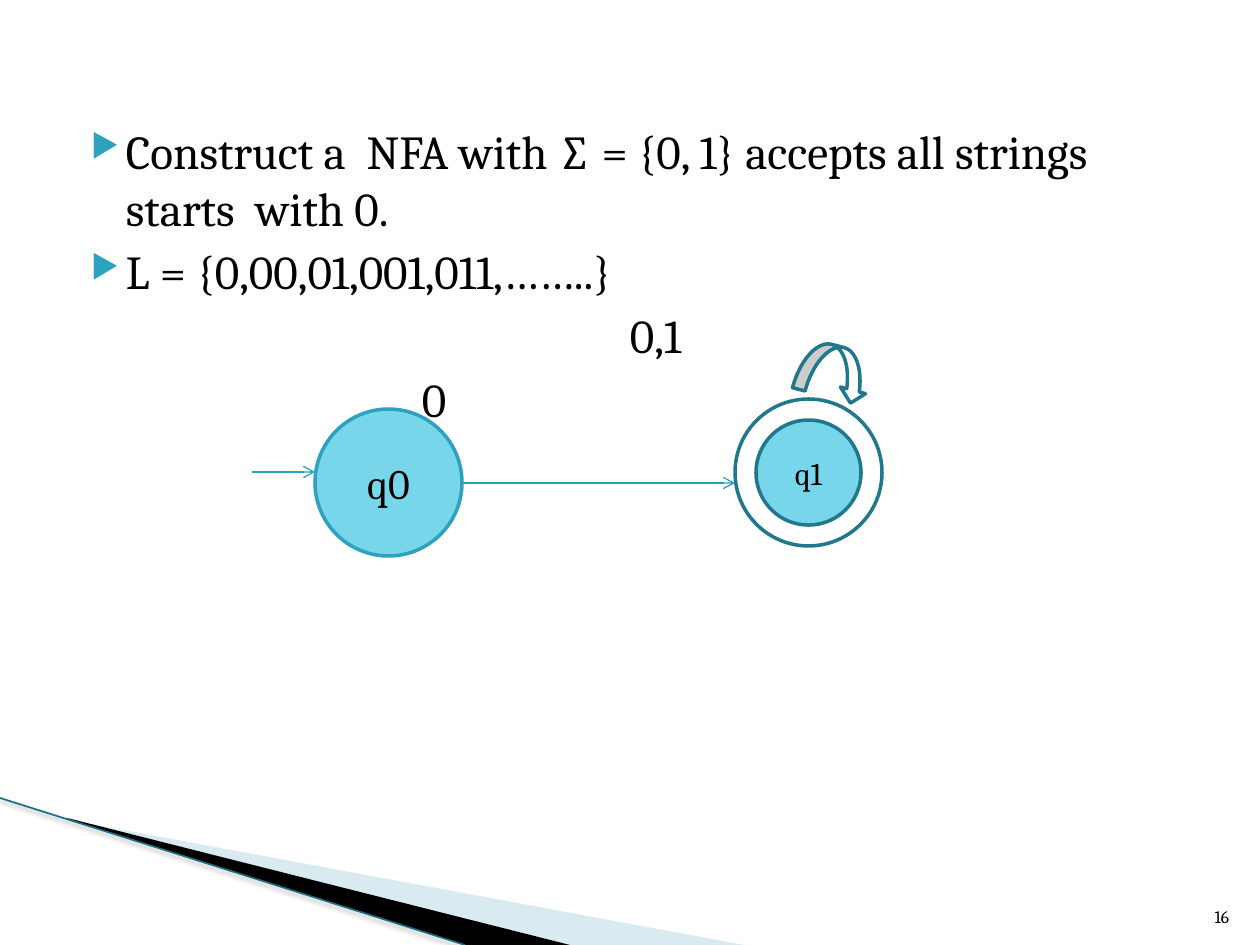
"""Build a slide that shows an NFA for strings starting with 0."""
from dataclasses import dataclass

from lxml import etree
from pptx import Presentation
from pptx.dml.color import RGBColor
from pptx.enum.shapes import MSO_CONNECTOR, MSO_SHAPE
from pptx.enum.text import MSO_ANCHOR, PP_ALIGN
from pptx.oxml.ns import qn
from pptx.util import Emu, Pt

ELLIPSE, CURVED_ARROW = MSO_SHAPE.OVAL, MSO_SHAPE.CURVED_DOWN_ARROW
STRAIGHT = MSO_CONNECTOR.STRAIGHT
TOP, MIDDLE, BOTTOM = MSO_ANCHOR.TOP, MSO_ANCHOR.MIDDLE, MSO_ANCHOR.BOTTOM
LEFT, CENTER, RIGHT = PP_ALIGN.LEFT, PP_ALIGN.CENTER, PP_ALIGN.RIGHT
SCALE = 914400 / 126
FONT = "Cambria"
COLORS = {
    "text": "000000", "bullet": "2DA2BF", "state": "78D6EA", "paper": "FFFFFF",
    "outline": "21788D", "arrow": "28A0BE", "pale": "A0CBDC", "edge": "196F85",
}


@dataclass
class Wedge:
    """A filled corner polygon."""
    points: list[tuple[int, int]]
    color: str
    opacity: int = 100


@dataclass
class Line:
    """A straight line, with or without an arrowhead."""
    start: tuple[int, int]
    end: tuple[int, int]
    color: str = "arrow"
    width: float = 0.75
    arrow: bool = True


@dataclass
class Figure:
    """An outlined preset shape with an optional label."""
    kind: int
    bounds: tuple[int, int, int, int]
    fill: str
    line: str = "outline"
    label: str = ""
    size: int = 18
    rotation: float = 0


@dataclass
class Entry:
    """A body paragraph."""
    text: str
    margin: int
    hanging: int = 0


WEDGES = [
    Wedge([(69, 820), (744, 945), (570, 945), (69, 819)], "pale", 40),
    Wedge([(67, 818), (570, 945), (465, 945), (68, 819)], "text"),
]
EDGE = Line((0, 798), (465, 945), "edge", 0.96, False)
ENTRIES = [
    Entry("Construct a  NFA with ∑ = {0, 1} accepts all strings starts  with 0.", 50, 35),
    Entry("L = {0,00,01,001,011,……..}", 50, 35),
    Entry("0,1", 554),
    Entry("0", 346),
]
FIGURES = [
    Figure(ELLIPSE, (315, 409, 147, 147), "state", "bullet", "q0", 24),
    Figure(ELLIPSE, (735, 399, 147, 147), "paper"),
    Figure(CURVED_ARROW, (798, 346, 73, 52), "paper", rotation=14.9),
    Figure(ELLIPSE, (756, 420, 105, 105), "state", label="q1"),
]
ARROWS = [Line((462, 483), (735, 483)), Line((252, 472), (315, 472))]


def px(*values: int) -> list[Emu]:
    """Turn pixels into EMU."""
    return [Emu(round(value * SCALE)) for value in values]


def rgb(name: str) -> RGBColor:
    """Look up a named colour."""
    return RGBColor.from_string(COLORS[name])


def add_node(parent, tag: str, **values):
    """Append a DrawingML child with attributes."""
    node = etree.SubElement(parent, qn(tag))
    for key, value in values.items():
        node.set(key, str(value))
    return node


def set_frame(frame, anchor) -> None:
    """Apply wrapping, anchor and insets."""
    side, edge = px(13, 6)
    formats = {"word_wrap": True, "vertical_anchor": anchor, "margin_left": side,
               "margin_right": side, "margin_top": edge, "margin_bottom": edge}
    for key, value in formats.items():
        setattr(frame, key, value)


def write(para, text: str, size: int, alignment) -> None:
    """Write one formatted span."""
    para.alignment = alignment
    span = para.add_run()
    span.text = text
    for key, value in {"name": FONT, "size": Pt(size)}.items():
        setattr(span.font, key, value)
    span.font.color.rgb = rgb("text")


def draw_wedge(page, wedge: Wedge) -> None:
    """Draw a corner polygon."""
    builder = page.shapes.build_freeform(*wedge.points[0], scale=SCALE)
    builder.add_line_segments(wedge.points[1:], close=True)
    shape = builder.convert_to_shape()
    shape.shadow.inherit = False
    shape.line.fill.background()
    shape.fill.solid()
    shape.fill.fore_color.rgb = rgb(wedge.color)
    if wedge.opacity < 100:
        color = shape.fill._xPr.find(qn("a:solidFill"))[0]
        add_node(color, "a:alpha", val=wedge.opacity * 1000)


def draw_line(page, line: Line) -> None:
    """Draw an arrow, or a plain edge with a soft shadow."""
    connector = page.shapes.add_connector(STRAIGHT, *px(*line.start, *line.end))
    connector.line.color.rgb = rgb(line.color)
    connector.line.width = Pt(line.width)
    effects = add_node(connector._element.spPr, "a:effectLst")
    if line.arrow:
        add_node(connector.line._get_or_add_ln(), "a:tailEnd", type="arrow")
    else:
        shadow = add_node(effects, "a:outerShdw", blurRad=Pt(3.1), dist=Pt(1.6),
                          dir=5400000, algn="t", rotWithShape=0)
        color = add_node(shadow, "a:srgbClr", val=COLORS["text"])
        add_node(color, "a:alpha", val=38000)


def draw_figure(page, figure: Figure) -> None:
    """Draw a state circle or the loop arrow."""
    shape = page.shapes.add_shape(figure.kind, *px(*figure.bounds))
    shape.shadow.inherit = False
    shape.rotation = figure.rotation
    shape.fill.solid()
    shape.fill.fore_color.rgb = rgb(figure.fill)
    shape.line.color.rgb = rgb(figure.line)
    shape.line.width = Pt(2)
    if figure.label:
        set_frame(shape.text_frame, MIDDLE)
        write(shape.text_frame.paragraphs[0], figure.label, figure.size, CENTER)


def draw_body(page) -> None:
    """Write the task and the transition labels."""
    frame = page.shapes.add_textbox(*px(63, 116, 1134, 712)).text_frame
    set_frame(frame, TOP)
    for index, entry in enumerate(ENTRIES):
        para = frame.add_paragraph() if index else frame.paragraphs[0]
        para.space_before = Pt(4)
        write(para, entry.text, 27, LEFT)
        margin, indent = px(entry.margin, -entry.hanging)
        properties = para._p.get_or_add_pPr()
        properties.set("marL", str(margin))
        properties.set("indent", str(indent))
        if entry.hanging:
            color = add_node(properties, "a:buClr")
            add_node(color, "a:srgbClr", val=COLORS["bullet"])
            add_node(properties, "a:buSzPct", val=68000)
            add_node(properties, "a:buChar", char="▶")


def main() -> None:
    """Assemble and save the deck."""
    deck = Presentation()
    deck.slide_width, deck.slide_height = px(1260, 945)
    page = deck.slides.add_slide(deck.slide_layouts[6])
    for wedge in WEDGES:
        draw_wedge(page, wedge)
    draw_line(page, EDGE)
    draw_body(page)
    number = page.shapes.add_textbox(*px(1192, 883, 50, 50)).text_frame
    set_frame(number, BOTTOM)
    write(number.paragraphs[0], "16", 10, RIGHT)
    for figure in FIGURES:
        draw_figure(page, figure)
    for arrow in ARROWS:
        draw_line(page, arrow)
    deck.save("out.pptx")


main()
